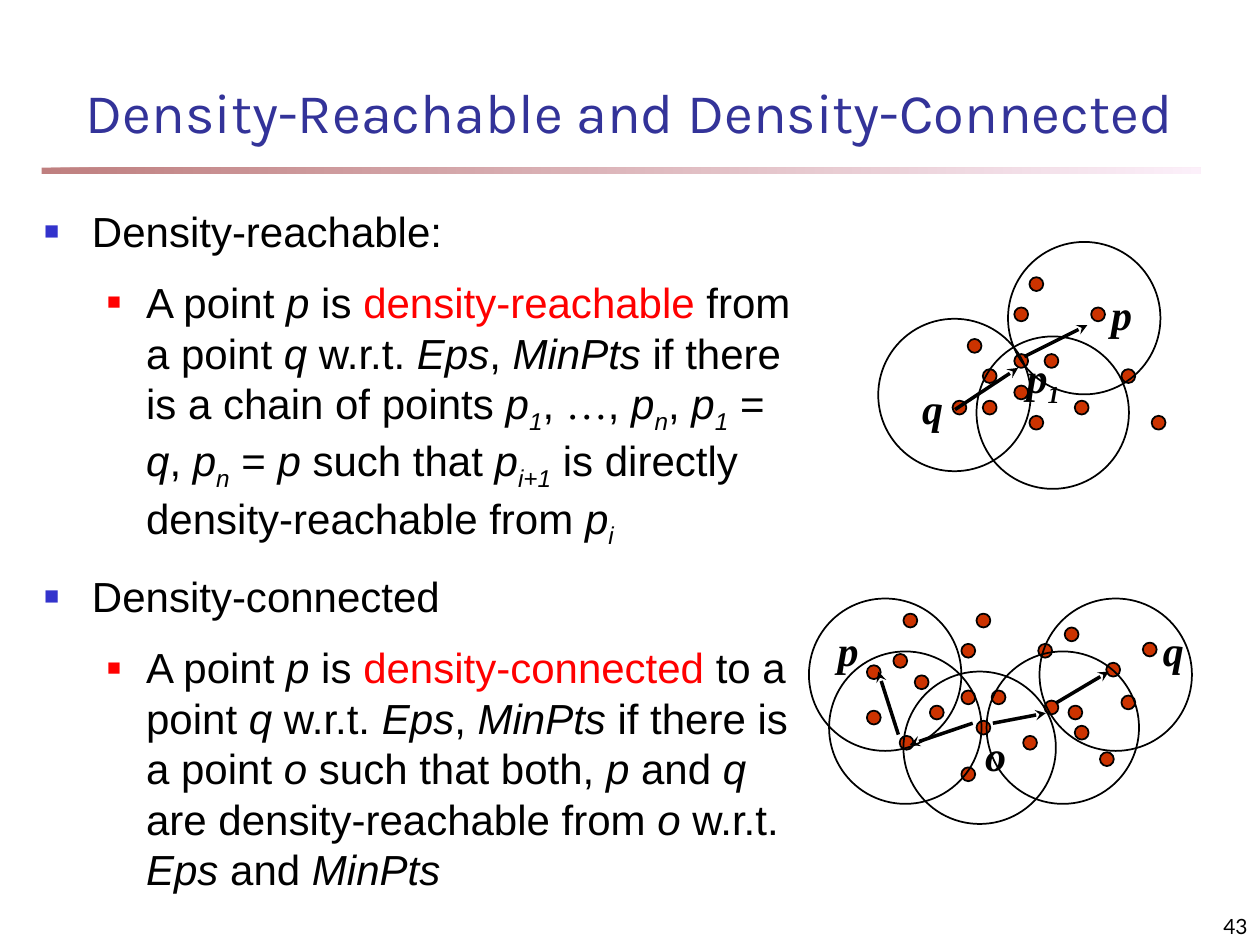
from typing import Any, NamedTuple

from lxml.etree import SubElement
from pptx import Presentation
from pptx.dml.color import RGBColor
from pptx.enum.shapes import MSO_CONNECTOR, MSO_SHAPE
from pptx.enum.text import MSO_ANCHOR, MSO_AUTO_SIZE, PP_ALIGN
from pptx.oxml.ns import qn
from pptx.util import Pt

EMU_PER_PX = 9144
DOT_SIZE = 11
CIRCLE_SIZE = 121
BLACK = "000000"
RED = "FF0000"

BODY_FONT = {"name": "Arial", "size": Pt(24)}
LABEL_FONT = {"name": "Times New Roman", "size": Pt(24), "bold": True, "italic": True}
RUN_STYLES = {"*": {"italic": True}, "_": {"italic": True}, "^": {}, "~": {"name": "Times New Roman"}}


class Box(NamedTuple):
    left: int
    top: int
    width: int
    height: int


class Label(NamedTuple):
    text: str
    box: Box


class Arrow(NamedTuple):
    start: tuple[int, int]
    end: tuple[int, int]


class Diagram(NamedTuple):
    dots: list[tuple[int, int]]
    circles: list[tuple[int, int]]
    arrows: list[Arrow]
    labels: list[Label]


class Level(NamedTuple):
    depth: int
    margin: int
    hanging: int
    bullet_color: str
    bullet_percent: int


class Item(NamedTuple):
    level: Level
    text: str


TOPIC = Level(0, 38, 38, "3333CC", 60)
DETAIL = Level(1, 81, 31, RED, 55)

ITEMS = [
    Item(TOPIC, "Density-reachable:"),
    Item(DETAIL, "A point |*p| is |^density-reachable| from a point |*q| w.r.t. |*Eps|, |*MinPts"
                 "| if there is a chain of points |*p|_1|, |~…|, |*p|_n|, |*p|_1| = |*q|, |*p|_n| = |*p"
                 "| such that |*p|_i+1| is directly density-reachable from |*p|_i"),
    Item(TOPIC, "Density-connected"),
    Item(DETAIL, "A point |*p| is |^density-connected| to a point |*q| w.r.t. |*Eps|, |*MinPts"
                 "| if there is a point |*o |such that both, |*p| and |*q"
                 "| are density-reachable from |*o| w.r.t. |*Eps| and |*MinPts"),
]

REACHABLE = Diagram(
    dots=[(768, 269), (805, 281), (805, 244), (756, 318), (780, 293), (780, 318), (817, 330),
          (817, 220), (890, 293), (866, 244), (805, 306), (829, 281), (853, 318), (914, 330)],
    circles=[(775, 267), (697, 253), (800, 192)],
    arrows=[Arrow((813, 283), (863, 258)), Arrow((758, 325), (808, 292))],
    labels=[Label("p", Box(872, 224, 42, 50)), Label("q", Box(722, 299, 42, 50)),
            Label("p|_1", Box(805, 274, 67, 50))],
)

CONNECTED = Diagram(
    dots=[(726, 536), (763, 548), (763, 511), (714, 584), (738, 560), (763, 609), (775, 572),
          (775, 487), (848, 560), (824, 511), (688, 564), (787, 548), (812, 584), (873, 597),
          (890, 552), (829, 556), (853, 576), (907, 510), (845, 498), (878, 526),
          (709, 519), (688, 528), (717, 487)],
    circles=[(658, 517), (717, 533), (783, 517), (825, 475), (642, 475)],
    arrows=[Arrow((772, 574), (722, 591)), Arrow((788, 574), (830, 566)),
            Arrow((713, 583), (697, 533)), Arrow((838, 558), (880, 533))],
    labels=[Label("p", Box(655, 491, 42, 50)), Label("q", Box(913, 491, 42, 50)),
            Label("o", Box(772, 574, 42, 50))],
)


def px(length: int) -> int:
    return length * EMU_PER_PX


def place(box: Box) -> list[int]:
    return [px(length) for length in box]


def rgb(color: str) -> RGBColor:
    return RGBColor.from_string(color)


def apply_format(target: Any, values: dict[str, Any]) -> None:
    for attribute, value in values.items():
        setattr(target, attribute, value)


def add_runs(paragraph: Any, text: str, base: dict[str, Any], color: str = BLACK) -> None:
    for piece in text.split("|"):
        mark = piece[0] if piece[0] in RUN_STYLES else ""
        run = paragraph.add_run()
        run.text = piece[len(mark):]
        apply_format(run.font, base | RUN_STYLES.get(mark, {}))
        run.font.color.rgb = rgb(RED if mark == "^" else color)
        if mark == "_":
            run.font._element.set("baseline", "-25000")


def add_bullet(paragraph: Any, level: Level) -> None:
    properties = paragraph._p.get_or_add_pPr()
    properties.set("marL", str(px(level.margin)))
    properties.set("indent", str(-px(level.hanging)))
    bullet_color = SubElement(properties, qn("a:buClr"))
    SubElement(bullet_color, qn("a:srgbClr"), val=level.bullet_color)
    SubElement(properties, qn("a:buSzPct"), val=str(level.bullet_percent * 1000))
    SubElement(properties, qn("a:buFont"), typeface="Arial")
    SubElement(properties, qn("a:buChar"), char="■")


def add_rule(shapes: Any, box: Box) -> None:
    rule = shapes.add_shape(MSO_SHAPE.RECTANGLE, *place(box))
    rule.shadow.inherit = False
    rule.line.fill.background()
    rule.fill.gradient()
    rule.fill.gradient_angle = 0
    for stop, color, position in zip(rule.fill.gradient_stops, ("800000", "FAE2F6"), (0, 1)):
        stop.color.rgb = rgb(color)
        stop.position = position
    for stop_color in rule._element.spPr.iter(qn("a:srgbClr")):
        SubElement(stop_color, qn("a:alpha"), val="50000")


def add_ellipse(shapes: Any, corner: tuple[int, int], size: int, fill: str = "") -> None:
    ellipse = shapes.add_shape(MSO_SHAPE.OVAL, *place(Box(*corner, size, size)))
    ellipse.shadow.inherit = False
    ellipse.line.color.rgb = rgb(BLACK)
    ellipse.line.width = Pt(1)
    if fill:
        ellipse.fill.solid()
        ellipse.fill.fore_color.rgb = rgb(fill)
    else:
        ellipse.fill.background()


def add_arrow(shapes: Any, arrow: Arrow) -> None:
    ends = [px(length) for length in arrow.start + arrow.end]
    connector = shapes.add_connector(MSO_CONNECTOR.STRAIGHT, *ends)
    connector.line.color.rgb = rgb(BLACK)
    connector.line.width = Pt(2)
    SubElement(connector.line._get_or_add_ln(), qn("a:tailEnd"), type="stealth")
    SubElement(connector._element.spPr, qn("a:effectLst"))


def add_label(shapes: Any, label: Label, font: dict[str, Any]) -> Any:
    frame = shapes.add_textbox(*place(label.box)).text_frame
    frame.word_wrap = True
    add_runs(frame.paragraphs[0], label.text, font)
    return frame


def draw_diagram(shapes: Any, diagram: Diagram) -> None:
    for corner in diagram.dots:
        add_ellipse(shapes, corner, DOT_SIZE, "CC3300")
    for corner in diagram.circles:
        add_ellipse(shapes, corner, CIRCLE_SIZE)
    for arrow in diagram.arrows:
        add_arrow(shapes, arrow)
    for label in diagram.labels:
        add_label(shapes, label, LABEL_FONT)


def fill_placeholder(placeholder: Any, box: Box, anchor: MSO_ANCHOR) -> Any:
    apply_format(placeholder, dict(zip(Box._fields, place(box))))
    frame = placeholder.text_frame
    apply_format(frame, {"word_wrap": True, "auto_size": MSO_AUTO_SIZE.NONE, "vertical_anchor": anchor})
    return frame


def main() -> None:
    deck = Presentation()
    apply_format(deck, {"slide_width": px(1000), "slide_height": px(750)})
    slide = deck.slides.add_slide(deck.slide_layouts[1])
    add_rule(slide.shapes, Box(33, 133, 920, 5))

    heading = fill_placeholder(slide.shapes.title, Box(0, 42, 1000, 92), MSO_ANCHOR.MIDDLE)
    heading.paragraphs[0].alignment = PP_ALIGN.CENTER
    add_runs(heading.paragraphs[0], "Density-Reachable and Density-Connected",
             {"name": "Karla", "size": Pt(32)}, "333399")

    body = fill_placeholder(slide.placeholders[1], Box(25, 158, 617, 550), MSO_ANCHOR.TOP)
    for index, item in enumerate(ITEMS):
        paragraph = body.add_paragraph() if index else body.paragraphs[0]
        add_bullet(paragraph, item.level)
        apply_format(paragraph, {"level": item.level.depth, "space_before": Pt(12 if index else 0)})
        add_runs(paragraph, item.text, BODY_FONT)

    draw_diagram(slide.shapes, REACHABLE)
    draw_diagram(slide.shapes.add_group_shape().shapes, CONNECTED)

    page = add_label(slide.shapes, Label("43", Box(792, 708, 208, 42)), {"name": "Lato", "size": Pt(12)})
    page.vertical_anchor = MSO_ANCHOR.BOTTOM
    page.paragraphs[0].alignment = PP_ALIGN.RIGHT
    apply_format(page, {"margin_right": px(10), "margin_bottom": px(5)})
    deck.save("out.pptx")


if __name__ == "__main__":
    main()
